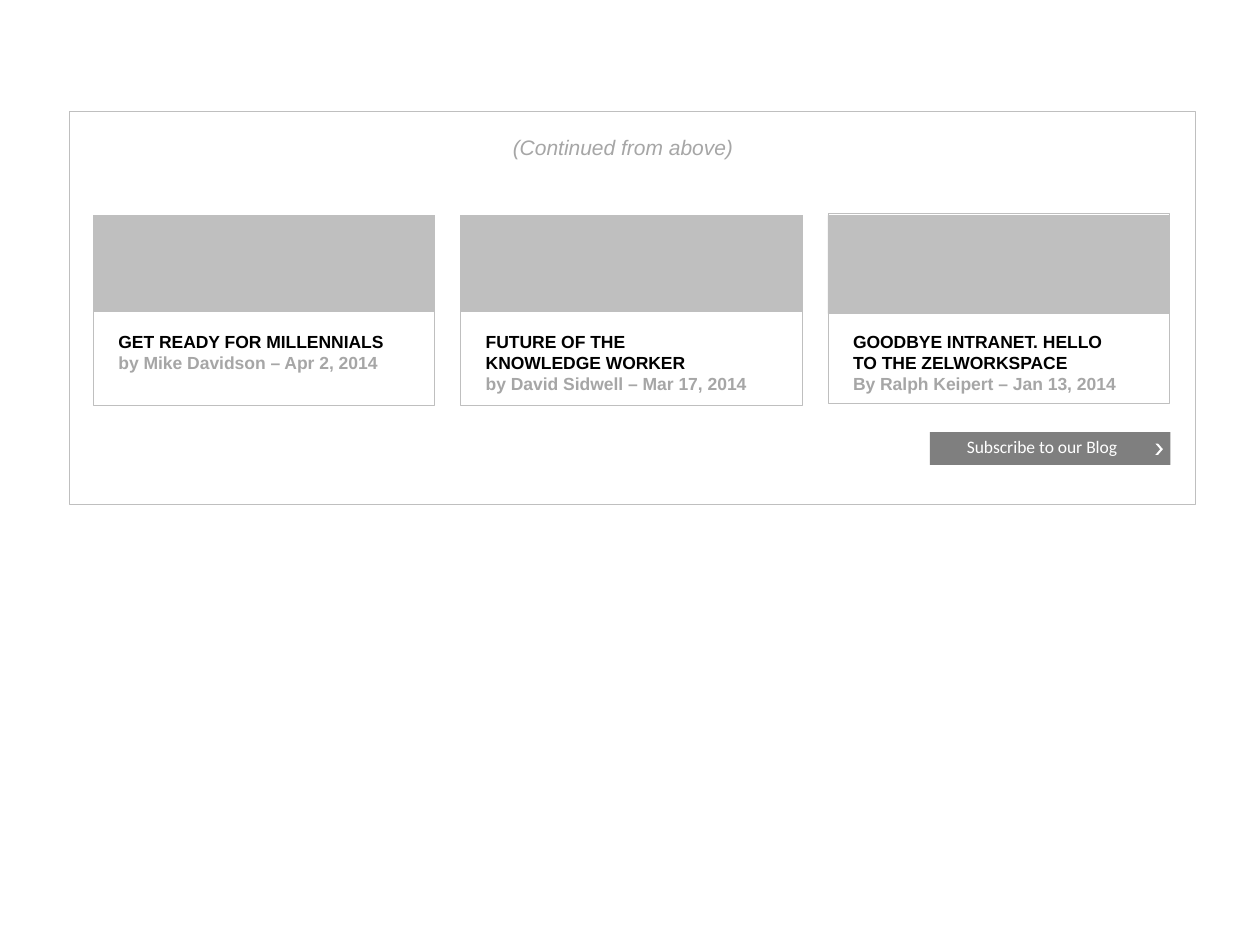
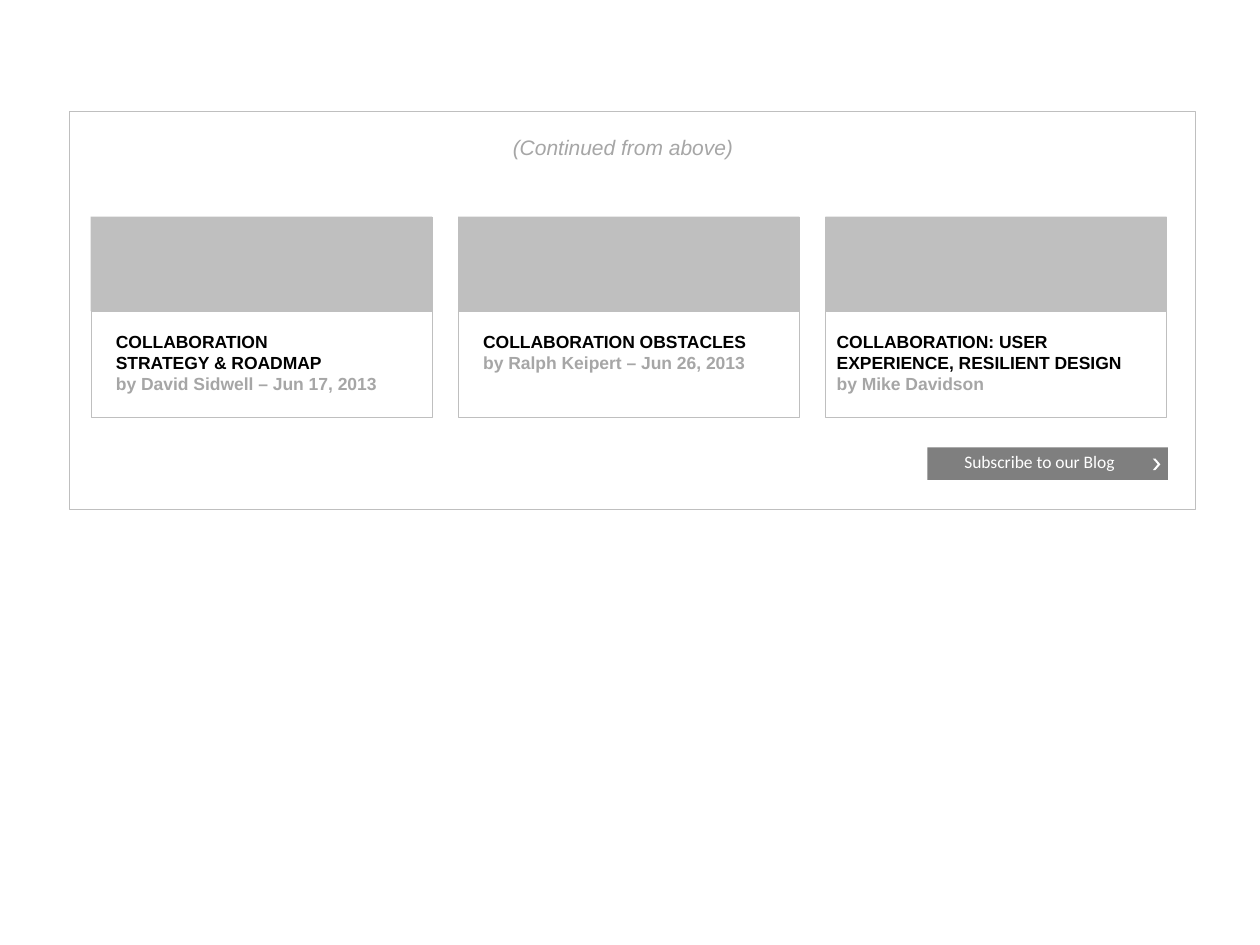
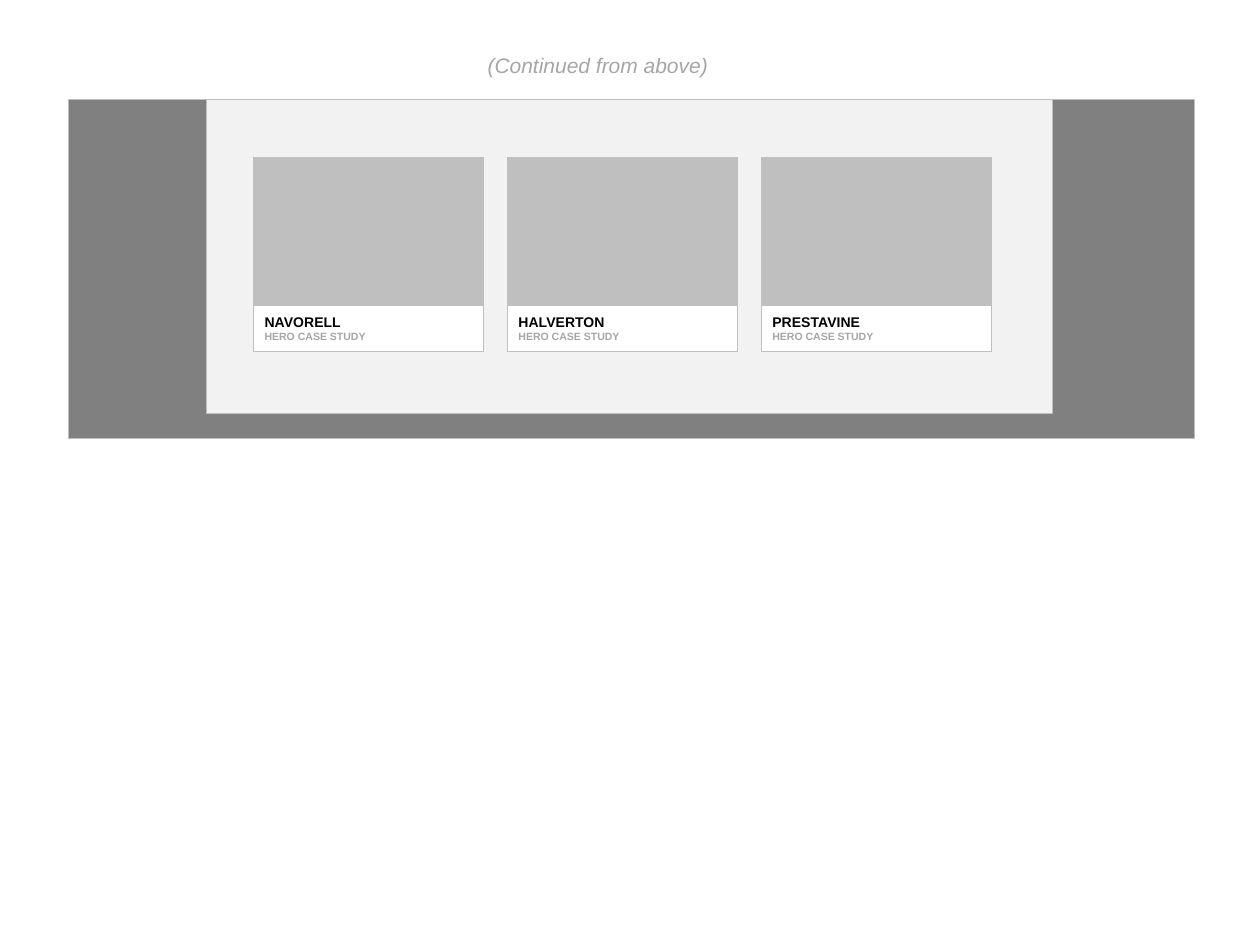
from dataclasses import dataclass

from pptx import Presentation
from pptx.dml.color import RGBColor
from pptx.enum.shapes import MSO_SHAPE
from pptx.enum.text import MSO_AUTO_SIZE, PP_ALIGN
from pptx.util import Inches, Pt

COLORS = {
    "white": "FFFFFF",
    "black": "000000",
    "border": "BFBFBF",
    "muted": "A6A6A6",
    "button": "7F7F7F",
    "backdrop": "808080",
    "panel": "F2F2F2",
}


@dataclass
class Card:
    title: str
    byline: str
    caption_width: float = 2.36
    caption_height: float = 0.5
    indent: float = 0.2
    frame_rise: float = 0
    band_extra: float = 0


@dataclass
class CardStyle:
    width: float
    height: float
    band_height: float
    caption_top: float
    title_size: int
    byline_size: int


class Wireframe:
    """Holds the shared style and the page being drawn."""

    def __init__(self):
        self.deck = Presentation()
        self.deck.slide_width = Inches(10)
        self.deck.slide_height = Inches(7.5)
        self.page = None

    def add_page(self):
        self.page = self.deck.slides.add_slide(self.deck.slide_layouts[6])

    def shape(self, left, top, width, height, fill, line="border", preset=MSO_SHAPE.RECTANGLE):
        box = self.page.shapes.add_shape(
            preset, Inches(left), Inches(top), Inches(width), Inches(height))
        box.shadow.inherit = False
        box.fill.solid()
        box.fill.fore_color.rgb = RGBColor.from_string(COLORS[fill])
        if line:
            box.line.color.rgb = RGBColor.from_string(COLORS[line])
            box.line.width = Pt(0.25)
        else:
            box.line.fill.background()
        return box

    def text(self, left, top, width, height, lines, align=PP_ALIGN.LEFT,
             font="Arial", bold=False, italic=False):
        """Write one paragraph for each (words, size, color) line."""
        box = self.page.shapes.add_textbox(
            Inches(left), Inches(top), Inches(width), Inches(height))
        frame = box.text_frame
        frame.word_wrap = True
        frame.auto_size = MSO_AUTO_SIZE.SHAPE_TO_FIT_TEXT
        frame.margin_left = frame.margin_right = 0
        frame.margin_top = frame.margin_bottom = 0
        for index, (words, size, color) in enumerate(lines):
            para = frame.add_paragraph() if index else frame.paragraphs[0]
            para.text = words
            para.alignment = align
            for span in para.runs:
                span.font.name = font
                span.font.size = Pt(size)
                span.font.bold = bold
                span.font.italic = italic
                span.font.color.rgb = RGBColor.from_string(COLORS[color])

    def continued_note(self, left, top):
        self.text(left, top, 4.01, 0.2, [("(Continued from above)", 12, "muted")],
                  align=PP_ALIGN.CENTER, italic=True)

    def card(self, left, top, card, style):
        self.shape(left, top - card.frame_rise, style.width, style.height, "white")
        self.shape(left, top, style.width, style.band_height + card.band_extra, "border")
        self.text(left + card.indent, style.caption_top, card.caption_width, card.caption_height,
                  [(card.title, style.title_size, "black"),
                   (card.byline, style.byline_size, "muted")], bold=True)

    def card_row(self, first_left, last_left, top, cards, style):
        step = (last_left - first_left) / (len(cards) - 1)
        for index, card in enumerate(cards):
            self.card(first_left + index * step, top, card, style)

    def subscribe_button(self, left, top):
        self.shape(left, top, 1.91, 0.26, "button", line=None)
        self.text(left + 0.07, top + 0.03, 1.64, 0.17, [("Subscribe to our Blog", 10, "white")],
                  align=PP_ALIGN.CENTER, font="Calibri")
        arrow = self.shape(left + 1.79, top + 0.09, 0.06, 0.09, "white", line=None,
                           preset=MSO_SHAPE.CHEVRON)
        arrow.adjustments[0] = 0.65

    def blog_page(self, panel_height, first_left, last_left, top, cards, style, button):
        self.add_page()
        self.shape(0.55, 0.88, 8.94, panel_height, "white")
        self.card_row(first_left, last_left, top, cards, style)
        self.subscribe_button(*button)
        self.continued_note(2.94, 1.07)


def main():
    wireframe = Wireframe()

    # Recent blog posts
    recent_posts = [
        Card("GET READY FOR MILLENNIALS", "by Mike Davidson – Apr 2, 2014", caption_height=0.34),
        Card("FUTURE OF THE\nKNOWLEDGE WORKER", "by David Sidwell – Mar 17, 2014"),
        Card("GOODBYE INTRANET. HELLO TO THE ZELWORKSPACE", "By Ralph Keipert – Jan 13, 2014",
             caption_width=2.11, frame_rise=0.02, band_extra=0.02),
    ]
    wireframe.blog_page(3.12, 0.74, 6.57, 1.71, recent_posts,
                        CardStyle(2.71, 1.51, 0.76, 2.63, 10, 10), button=(7.38, 3.43))

    # Earlier blog posts
    earlier_posts = [
        Card("COLLABORATION\nSTRATEGY & ROADMAP", "by David Sidwell – Jun 17, 2013"),
        Card("COLLABORATION OBSTACLES", "by Ralph Keipert – Jun 26, 2013", caption_height=0.34),
        Card("COLLABORATION: USER EXPERIENCE, RESILIENT DESIGN", "by Mike Davidson",
             caption_width=2.28, indent=0.09),
    ]
    wireframe.blog_page(3.16, 0.72, 6.55, 1.72, earlier_posts,
                        CardStyle(2.71, 1.59, 0.75, 2.63, 10, 10), button=(7.36, 3.55))

    # Case studies
    wireframe.add_page()
    wireframe.shape(0.54, 0.79, 8.94, 2.69, "backdrop")
    wireframe.shape(1.64, 0.79, 6.71, 2.49, "panel")
    case_studies = [
        Card(client, "HERO CASE STUDY", caption_width=0.92, caption_height=0.24, indent=0.09)
        for client in ("NAVORELL", "HALVERTON", "PRESTAVINE")
    ]
    wireframe.card_row(2.01, 6.04, 1.25, case_studies, CardStyle(1.83, 1.54, 1.17, 2.49, 8, 6))
    wireframe.continued_note(2.74, 0.42)

    wireframe.deck.save("out.pptx")


if __name__ == "__main__":
    main()
